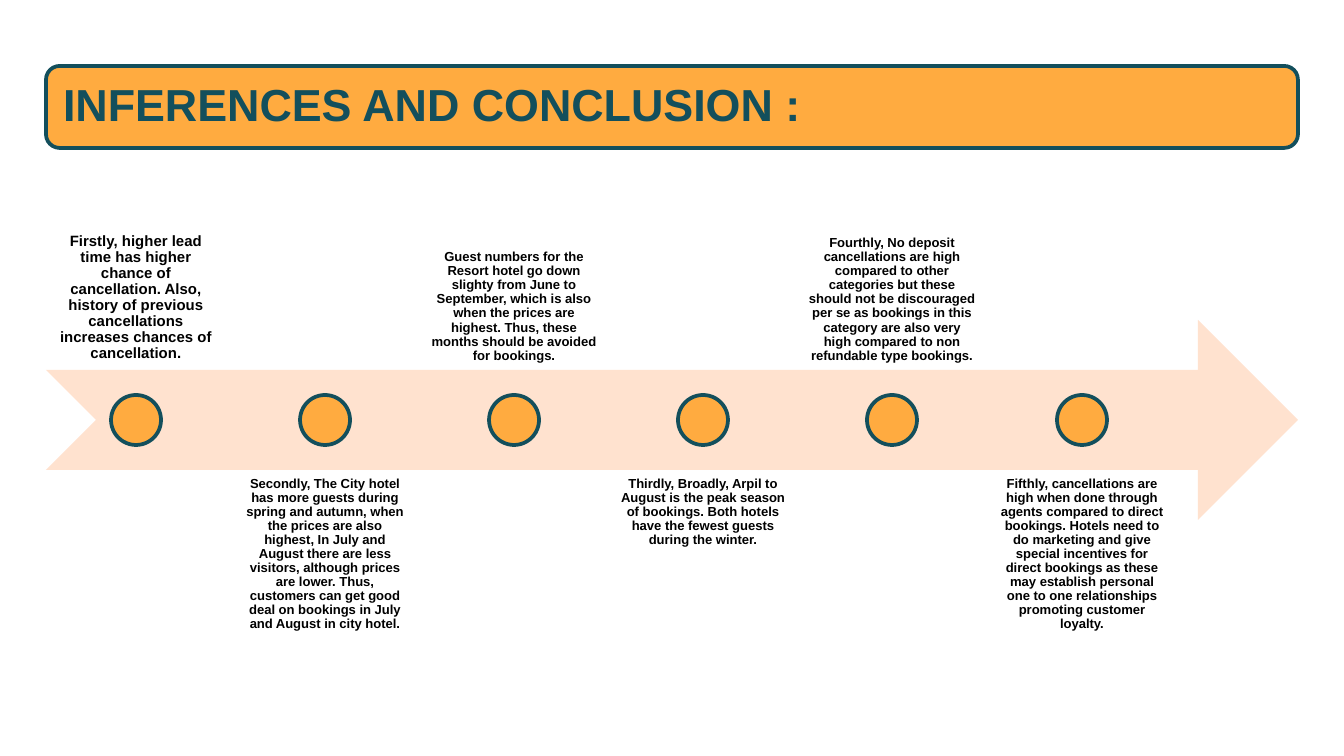
import pptx
import pptx.dml.color
import pptx.enum.shapes
import pptx.enum.text
import pptx.util
from dataclasses import dataclass

SHAPES = pptx.enum.shapes.MSO_SHAPE
ANCHOR = pptx.enum.text.MSO_ANCHOR
ALIGN = pptx.enum.text.PP_ALIGN


@dataclass(frozen=True)
class Theme:
    font: str = "Arial"
    orange: str = "FFAB40"
    teal: str = "134F5C"
    peach: str = "FFE2CF"
    black: str = "000000"
    title_size: int = 24
    lead_size: int = 8
    note_size: int = 7
    line_width: int = 2


theme = Theme()
EMU_PER_PX = 914400 / 134.4


def write_text(box, text, *, size, color, align, anchor, inset):
    """Fill a text shape with one bold paragraph; inset is in px."""
    frame = box.text_frame
    frame.word_wrap = True
    frame.auto_size = pptx.enum.text.MSO_AUTO_SIZE.NONE
    frame.vertical_anchor = anchor
    margin = round(inset * EMU_PER_PX)
    frame.margin_left = frame.margin_right = margin
    frame.margin_top = frame.margin_bottom = margin
    para = frame.paragraphs[0]
    para.alignment = align
    para.line_spacing = 0.9
    para.space_before = pptx.util.Pt(0)
    span = para.add_run()
    span.text = text
    span.font.name = theme.font
    span.font.size = pptx.util.Pt(size)
    span.font.bold = True
    span.font.color.rgb = pptx.dml.color.RGBColor.from_string(color)


def add_shape(kind, bounds, fill, line=None):
    """Add a flat preset shape; bounds are left, top, width, height in px."""
    shape = page.shapes.add_shape(kind, *[round(v * EMU_PER_PX) for v in bounds])
    shape.shadow.inherit = False
    shape.fill.solid()
    shape.fill.fore_color.rgb = pptx.dml.color.RGBColor.from_string(fill)
    if line:
        shape.line.color.rgb = pptx.dml.color.RGBColor.from_string(line)
        shape.line.width = pptx.util.Pt(theme.line_width)
    else:
        shape.line.fill.background()
    return shape


deck = pptx.Presentation()
deck.slide_width = round(1344 * EMU_PER_PX)
deck.slide_height = round(756 * EMU_PER_PX)
page = deck.slides.add_slide(deck.slide_layouts[5])

# Title on its bar
title_bar = add_shape(SHAPES.ROUNDED_RECTANGLE, (46, 66, 1252, 82), theme.orange, theme.teal)
title = page.shapes.title
title_bar._element.addnext(title._element)  # bring the title in front of its bar
title.left, title.top, title.width, title.height = [
    round(v * EMU_PER_PX) for v in (50, 70, 1244, 74)]
write_text(title, "INFERENCES AND CONCLUSION :", size=theme.title_size, color=theme.teal,
           align=ALIGN.LEFT, anchor=ANCHOR.MIDDLE, inset=13)

# Timeline: notes alternate above and below the arrow
add_shape(SHAPES.NOTCHED_RIGHT_ARROW, (46, 320, 1252, 200), theme.peach)

notes = [
    "Firstly, higher lead time has higher chance of cancellation. Also, history of previous "
    "cancellations increases chances of cancellation.",
    "Secondly, The City hotel has more guests during spring and autumn, when the prices are also "
    "highest, In July and August there are less visitors, although prices are lower. Thus, "
    "customers can get good deal on bookings in July and August in city hotel.",
    "Guest numbers for the Resort hotel go down slighty from June to September, which is also "
    "when the prices are highest. Thus, these months should be avoided for bookings.",
    "Thirdly, Broadly, Arpil to August is the peak season of bookings. Both hotels have the "
    "fewest guests during the winter.",
    "Fourthly, No deposit cancellations are high compared to other categories but these should "
    "not be discouraged per se as bookings in this category are also very high compared to non "
    "refundable type bookings.",
    "Fifthly, cancellations are high when done through agents compared to direct bookings. Hotels "
    "need to do marketing and give special incentives for direct bookings as these may establish "
    "personal one to one relationships promoting customer loyalty.",
]
note_width, note_height, dot_size = 180, 200, 50
first_left, last_left = 46, 992

for index, note in enumerate(notes):
    left = first_left + (last_left - first_left) * index // (len(notes) - 1)
    above = index % 2 == 0
    top = 170 if above else 470
    box = page.shapes.add_textbox(
        *[round(v * EMU_PER_PX) for v in (left, top, note_width, note_height)])
    write_text(box, note, size=theme.note_size if index else theme.lead_size, color=theme.black,
               align=ALIGN.CENTER, anchor=ANCHOR.BOTTOM if above else ANCHOR.TOP,
               inset=7 if index else 8)
    dot_left = left + (note_width - dot_size) // 2
    add_shape(SHAPES.OVAL, (dot_left, 395, dot_size, dot_size), theme.orange, theme.teal)

deck.save("out.pptx")
